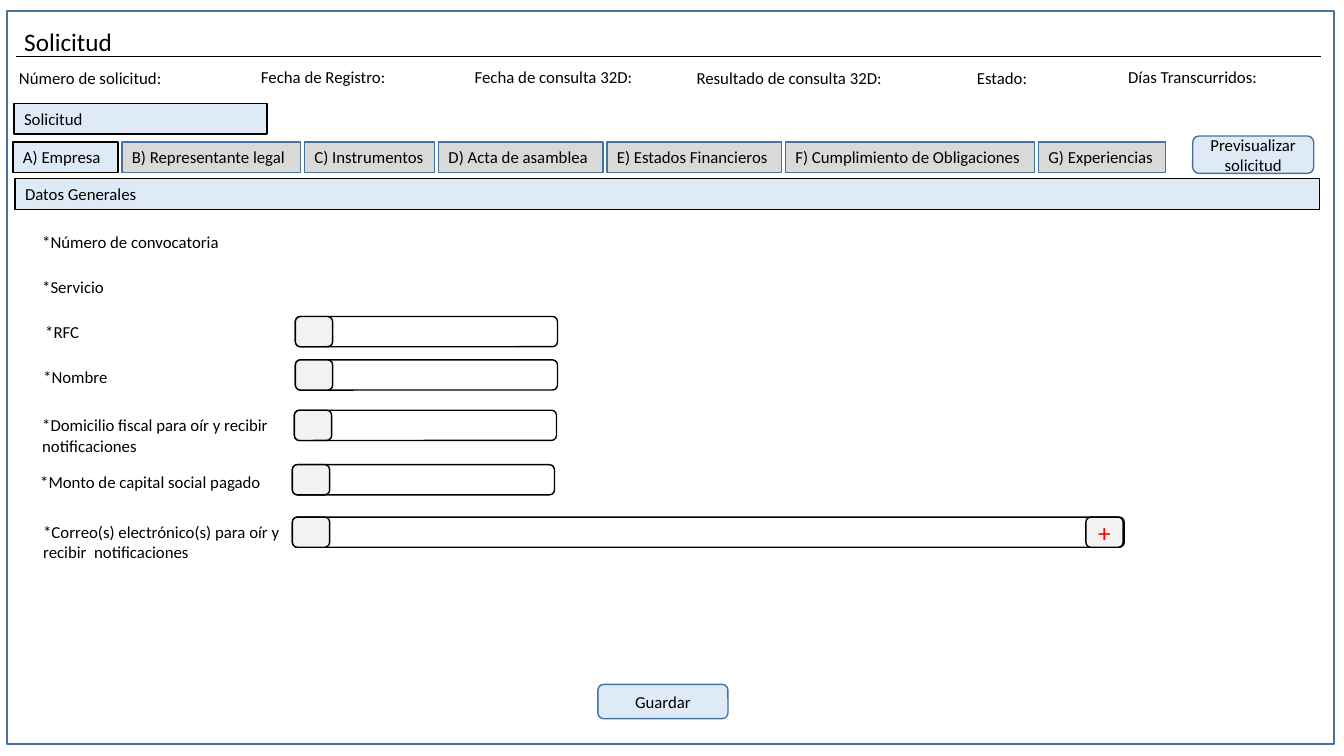
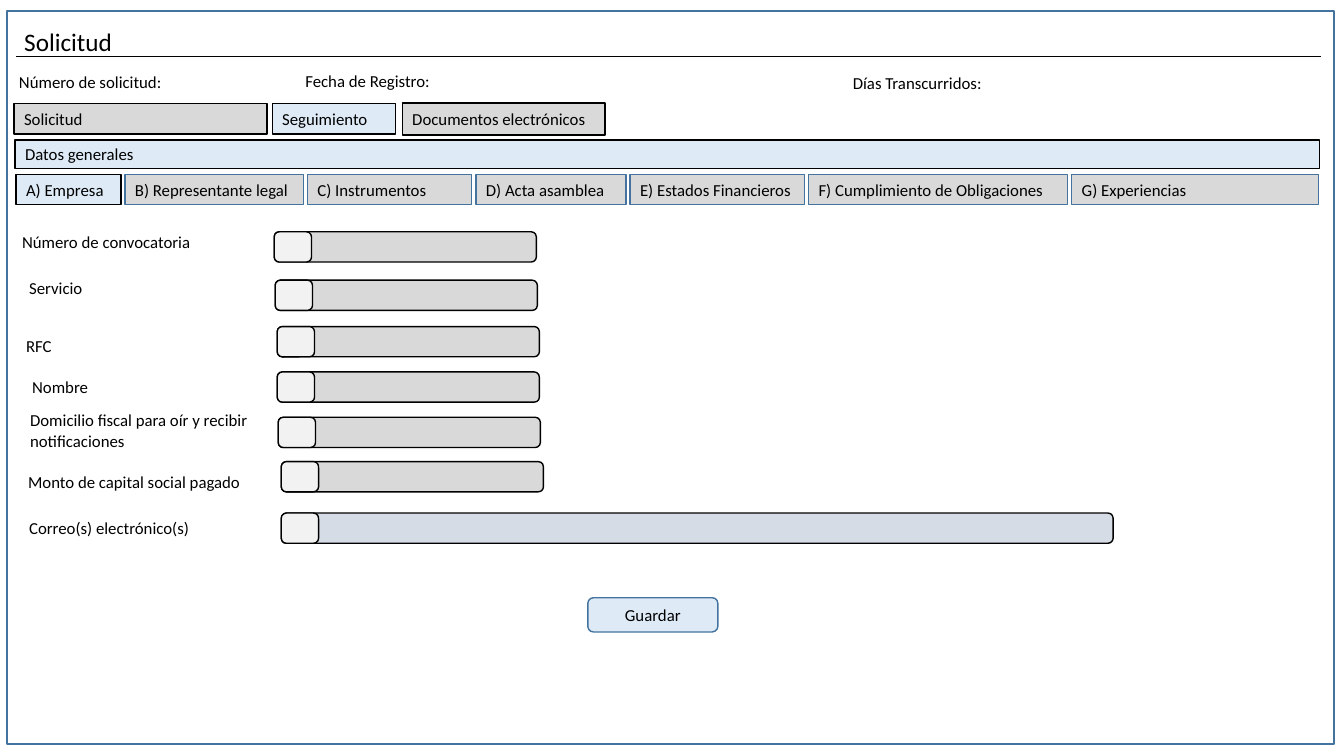
from dataclasses import dataclass
from typing import Optional

from lxml.etree import SubElement
from pptx import Presentation
from pptx.dml.color import RGBColor
from pptx.enum.shapes import MSO_CONNECTOR, MSO_SHAPE
from pptx.enum.text import MSO_ANCHOR, MSO_AUTO_SIZE, PP_ALIGN
from pptx.oxml.ns import qn
from pptx.presentation import Presentation as Deck
from pptx.shapes.autoshape import Shape
from pptx.slide import Slide
from pptx.text.text import TextFrame
from pptx.util import Inches, Pt

BLACK = RGBColor(0x00, 0x00, 0x00)
WHITE = RGBColor(0xFF, 0xFF, 0xFF)
RED = RGBColor(0xFF, 0x00, 0x00)
BORDER_BLUE = RGBColor(0x43, 0x73, 0x9E)
PALE_BLUE = RGBColor(0xDE, 0xEB, 0xF7)
BLUE_GRAY = RGBColor(0xD6, 0xDC, 0xE5)
GRAY = RGBColor(0xD9, 0xD9, 0xD9)
PALE_GRAY = RGBColor(0xF2, 0xF2, 0xF2)

TAB_GAP = 0.04
ROW_HEIGHT = 0.3
ICON_WIDTH = 0.37
SHORT_FIELD = 2.6
LONG_FIELD = 8.25


@dataclass(frozen=True)
class Label:
    """A line of plain text and its place in inches."""
    text: str
    left: float
    top: float
    width: float = 3.59
    height: float = 0.3


@dataclass(frozen=True)
class Box:
    """A filled and outlined shape with optional text."""
    text: str
    left: float
    top: float
    width: float
    height: float = ROW_HEIGHT
    fill: Optional[RGBColor] = PALE_BLUE
    line: RGBColor = BLACK
    rounded: bool = False
    size: int = 12
    color: RGBColor = BLACK


@dataclass(frozen=True)
class Field:
    """An input field with its icon cell."""
    left: float
    top: float
    width: float = SHORT_FIELD
    fill: RGBColor = WHITE


@dataclass(frozen=True)
class Form:
    """The content of one screen of the application form."""
    labels: list[Label]
    boxes: list[Box]
    fields: list[Field]
    tabs: list[tuple[str, float]]
    tabs_left: float
    tabs_top: float
    buttons: list[Box]


def write(frame: TextFrame, text: str, size: int = 12, color: RGBColor = BLACK,
          **frame_format: object) -> None:
    """Put formatted text in a frame."""
    alignment = frame_format.pop("alignment", PP_ALIGN.LEFT)
    for name, value in {"word_wrap": True, **frame_format}.items():
        setattr(frame, name, value)
    para = frame.paragraphs[0]
    para.alignment = alignment
    span = para.add_run()
    span.text = text
    for name, value in {"name": "Calibri", "size": Pt(size)}.items():
        setattr(span.font, name, value)
    span.font.color.rgb = color


def draw_label(page: Slide, label: Label) -> None:
    """Draw a text label."""
    box = page.shapes.add_textbox(Inches(label.left), Inches(label.top),
                                  Inches(label.width), Inches(label.height))
    write(box.text_frame, label.text, auto_size=MSO_AUTO_SIZE.SHAPE_TO_FIT_TEXT)


def draw_box(page: Slide, item: Box) -> Shape:
    """Draw a box; rounded boxes centre their text."""
    kind = MSO_SHAPE.ROUNDED_RECTANGLE if item.rounded else MSO_SHAPE.RECTANGLE
    shape = page.shapes.add_shape(kind, Inches(item.left), Inches(item.top),
                                  Inches(item.width), Inches(item.height))
    shape.shadow.inherit = False
    if item.fill is None:
        shape.fill.background()
    else:
        shape.fill.solid()
        shape.fill.fore_color.rgb = item.fill
    shape.line.color.rgb = item.line
    shape.line.width = Pt(1)
    if item.text:
        write(shape.text_frame, item.text, item.size, item.color,
              vertical_anchor=MSO_ANCHOR.MIDDLE,
              alignment=PP_ALIGN.CENTER if item.rounded else PP_ALIGN.LEFT)
    return shape


def draw_field(page: Slide, field: Field) -> None:
    """Draw an input field and the icon cell at its left end."""
    for width, fill in ((field.width, field.fill), (ICON_WIDTH, PALE_GRAY)):
        draw_box(page, Box("", field.left, field.top, width, fill=fill, rounded=True))


def draw_tabs(page: Slide, form: Form) -> None:
    """Draw the row of tabs with the first one active."""
    left = form.tabs_left
    for index, (text, width) in enumerate(form.tabs):
        fill, line = (GRAY, BORDER_BLUE) if index else (PALE_BLUE, BLACK)
        draw_box(page, Box(text, left, form.tabs_top, width, fill=fill, line=line))
        left += width + TAB_GAP


def draw_header(page: Slide) -> None:
    """Draw the title, its rule and the page frame."""
    title = page.shapes.title
    place = {"left": 0.14, "top": 0.21, "width": 5.11, "height": 0.4}
    for name, value in place.items():
        setattr(title, name, Inches(value))
    write(title.text_frame, "Solicitud", 18, vertical_anchor=MSO_ANCHOR.TOP,
          auto_size=MSO_AUTO_SIZE.NONE)
    rule = page.shapes.add_connector(MSO_CONNECTOR.STRAIGHT, Inches(0.16), Inches(0.56),
                                     Inches(13.1), Inches(0.56))
    rule.line.color.rgb = BLACK
    rule.line.width = Pt(0.5)
    SubElement(rule.element.spPr, qn("a:effectLst"))
    draw_box(page, Box("", 0.07, 0.11, 13.16, 7.27, fill=None, line=BORDER_BLUE))


def draw_form(deck: Deck, form: Form) -> None:
    """Add one screen to the deck."""
    page = deck.slides.add_slide(deck.slide_layouts[5])
    draw_header(page)
    for box in form.boxes:
        draw_box(page, box)
    draw_tabs(page, form)
    for field in form.fields:
        draw_field(page, field)
    for label in form.labels:
        draw_label(page, label)
    for button in form.buttons:
        draw_box(page, button)


def button(text: str, left: float, top: float, width: float = 1.29,
           height: float = 0.34) -> Box:
    """Return a rounded blue button."""
    return Box(text, left, top, width, height, line=BORDER_BLUE, rounded=True)


REGISTRATION = Form(
    labels=[
        Label("Número de solicitud:", 0.09, 0.62, 2.37),
        Label("Fecha de Registro:", 2.49, 0.61, 2.12),
        Label("Fecha de consulta 32D:", 4.61, 0.61, 2.12),
        Label("Resultado de consulta 32D:", 6.81, 0.62, 2.12),
        Label("Estado:", 9.59, 0.62, 2.12),
        Label("Días Transcurridos:", 11.09, 0.61, 2.12),
        Label("*Número de convocatoria", 0.32, 2.25),
        Label("*Servicio", 0.32, 2.7),
        Label("*RFC", 0.35, 3.14),
        Label("*Nombre", 0.33, 3.59),
        Label("*Domicilio fiscal para oír y recibir notificaciones", 0.32, 4.07, 2.61, 0.5),
        Label("*Monto de capital social pagado", 0.3, 4.63),
        Label("*Correo(s) electrónico(s) para oír y recibir  notificaciones",
              0.33, 5.13, 2.6, 0.5),
    ],
    boxes=[
        Box("Datos Generales", 0.15, 1.77, 12.94, 0.31),
        Box("Solicitud", 0.14, 1.03, 2.51),
    ],
    fields=[
        Field(2.93, 3.14),
        Field(2.93, 3.57),
        Field(2.92, 4.07),
        Field(2.9, 4.61),
        Field(2.9, 5.13, LONG_FIELD),
    ],
    tabs=[
        ("A) Empresa", 1.04),
        ("B) Representante legal", 1.77),
        ("C) Instrumentos", 1.29),
        ("D) Acta de asamblea", 1.63),
        ("E) Estados Financieros", 1.73),
        ("F) Cumplimiento de Obligaciones", 2.47),
        ("G) Experiencias", 1.26),
    ],
    tabs_left=0.13,
    tabs_top=1.41,
    buttons=[
        button("Guardar", 5.93, 6.79),
        button("Previsualizar solicitud", 11.83, 1.35, 1.2, 0.37),
        Box("+", 10.77, 5.13, ICON_WIDTH, fill=PALE_GRAY, rounded=True, size=18, color=RED),
    ],
)

FOLLOW_UP = Form(
    labels=[
        Label("Número de solicitud:", 0.09, 0.66, 2.37),
        Label("Fecha de Registro:", 2.93, 0.65, 2.12),
        Label("Días Transcurridos:", 8.36, 0.67, 2.12),
        Label("Número de convocatoria", 0.12, 2.25),
        Label("Servicio", 0.19, 2.71),
        Label("RFC", 0.16, 3.28),
        Label("Nombre", 0.22, 3.69),
        Label("Domicilio fiscal para oír y recibir notificaciones", 0.2, 4.02, 2.61, 0.5),
        Label("Monto de capital social pagado", 0.18, 4.63),
        Label("Correo(s) electrónico(s)", 0.19, 5.09),
    ],
    boxes=[
        Box("Datos generales", 0.15, 1.39, 12.94, 0.28),
        Box("Solicitud", 0.14, 1.03, 2.51, fill=GRAY),
        Box("Seguimiento", 2.7, 1.03, 1.22),
        Box("Documentos electrónicos", 3.99, 1.02, 2.01, 0.32, fill=GRAY),
    ],
    fields=[
        Field(2.72, 2.3, fill=GRAY),
        Field(2.73, 2.78, fill=GRAY),
        Field(2.75, 3.24, fill=GRAY),
        Field(2.75, 3.69, fill=GRAY),
        Field(2.76, 4.14, fill=GRAY),
        Field(2.79, 4.58, fill=GRAY),
        Field(2.79, 5.09, LONG_FIELD, BLUE_GRAY),
    ],
    tabs=[
        ("A) Empresa", 1.04),
        ("B) Representante legal", 1.77),
        ("C) Instrumentos", 1.63),
        ("D) Acta asamblea", 1.49),
        ("E) Estados Financieros", 1.73),
        ("F) Cumplimiento de Obligaciones", 2.57),
        ("G) Experiencias", 2.45),
    ],
    tabs_left=0.16,
    tabs_top=1.73,
    buttons=[button("Guardar", 5.83, 5.93)],
)


def main() -> None:
    """Build and save the deck."""
    deck = Presentation()
    deck.slide_width = Inches(13.33)
    deck.slide_height = Inches(7.5)
    for form in (REGISTRATION, FOLLOW_UP):
        draw_form(deck, form)
    deck.save("out.pptx")


if __name__ == "__main__":
    main()
